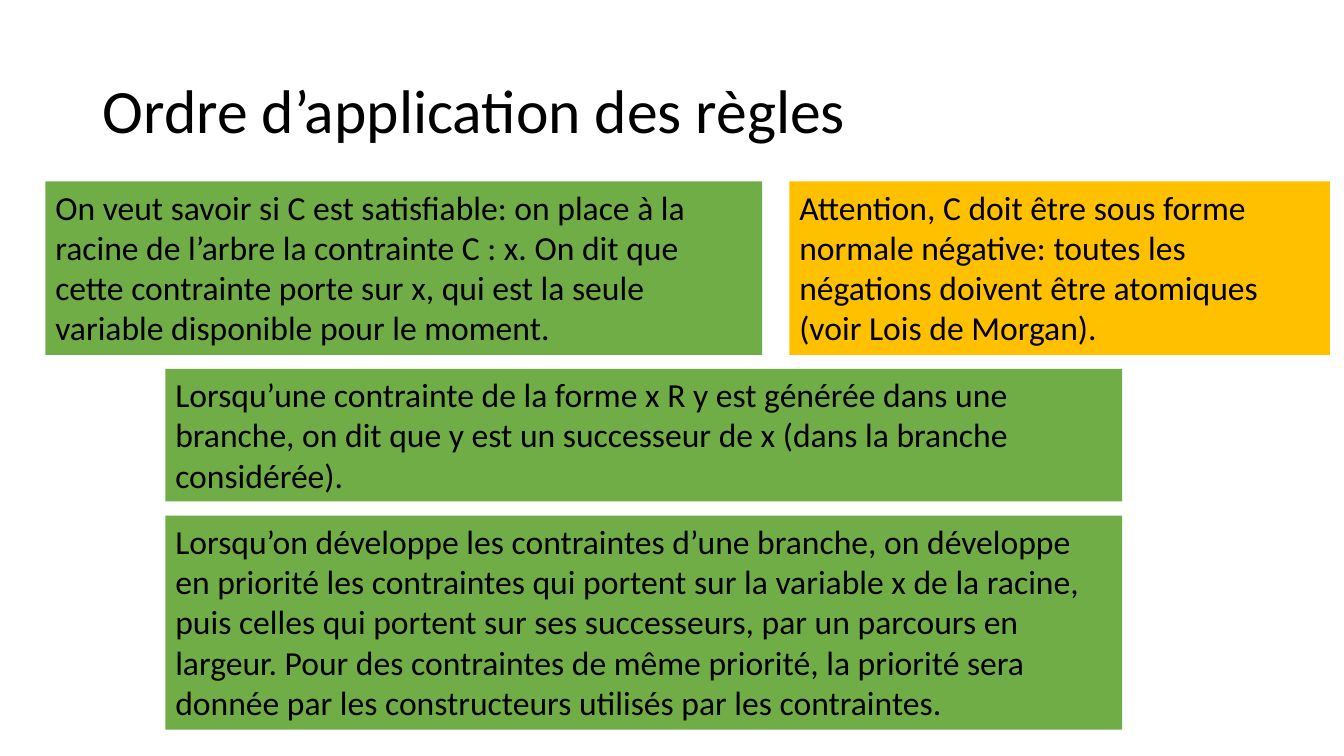
from pptx import Presentation
from pptx.dml.color import RGBColor
from pptx.enum.text import MSO_ANCHOR
from pptx.util import Inches, Pt

MIDDLE, TOP = MSO_ANCHOR.MIDDLE, MSO_ANCHOR.TOP
BLACK = RGBColor(0x00, 0x00, 0x00)
GREEN = RGBColor(0x70, 0xAD, 0x47)
AMBER = RGBColor(0xFF, 0xC0, 0x00)
FONT = "Calibri"

SLIDE_WIDTH, SLIDE_HEIGHT = 13.33, 7.5
FIRST_ROW_TOP = 1.8
ROW_GAP = 0.14
LINE_HEIGHT = 0.405
BOX_PADDING = 0.1

# Left edge and width of each column, in inches
LEFT_COLUMN = (0.45, 7.11)
RIGHT_COLUMN = (7.83, 5.36)
CENTRE_COLUMN = (1.64, 9.49)

# Each row: its number of text lines, then its boxes (column, fill, text)
ROWS = [
    (4, [
        (LEFT_COLUMN, GREEN,
         "On veut savoir si C est satisfiable: on place à la racine de l’arbre "
         "la contrainte C : x. On dit que cette contrainte porte sur x, qui est "
         "la seule variable disponible pour le moment."),
        (RIGHT_COLUMN, AMBER,
         "Attention, C doit être sous forme normale négative: toutes les "
         "négations doivent être atomiques (voir Lois de Morgan)."),
    ]),
    (3, [
        (CENTRE_COLUMN, GREEN,
         "Lorsqu’une contrainte de la forme x R y est générée dans une branche, "
         "on dit que y est un successeur de x (dans la branche considérée)."),
    ]),
    (5, [
        (CENTRE_COLUMN, GREEN,
         "Lorsqu’on développe les contraintes d’une branche, on développe en "
         "priorité les contraintes qui portent sur la variable x de la racine, "
         "puis celles qui portent sur ses successeurs, par un parcours en "
         "largeur. Pour des contraintes de même priorité, la priorité sera "
         "donnée par les constructeurs utilisés par les contraintes."),
    ]),
]


def add_text(slide, text, left, top, width, height, size, anchor=TOP):
    shape = slide.shapes.add_textbox(
        Inches(left), Inches(top), Inches(width), Inches(height))
    text_frame = shape.text_frame
    text_frame.word_wrap = True
    text_frame.vertical_anchor = anchor
    text_frame.text = text
    font = text_frame.paragraphs[0].runs[0].font
    font.name = FONT
    font.size = Pt(size)
    font.color.rgb = BLACK
    return shape


def add_title(slide, text):
    title = add_text(slide, text, 0.92, 0.4, 11.5, 1.45, 44, MIDDLE)
    title.text_frame.paragraphs[0].line_spacing = 0.9


def add_rule_box(slide, column, top, height, fill_color, text):
    left, width = column
    box = add_text(slide, text, left, top, width, height, 24)
    box.fill.solid()
    box.fill.fore_color.rgb = fill_color


def add_rows(slide):
    """Stack the rows, each as high as its number of text lines needs."""
    top = FIRST_ROW_TOP
    for line_count, boxes in ROWS:
        height = BOX_PADDING + line_count * LINE_HEIGHT
        for column, fill_color, text in boxes:
            add_rule_box(slide, column, top, height, fill_color, text)
        top += height + ROW_GAP


def main():
    presentation = Presentation()
    presentation.slide_width = Inches(SLIDE_WIDTH)
    presentation.slide_height = Inches(SLIDE_HEIGHT)
    slide = presentation.slides.add_slide(presentation.slide_layouts[6])
    add_title(slide, "Ordre d’application des règles")
    add_rows(slide)
    presentation.save("out.pptx")


if __name__ == "__main__":
    main()
